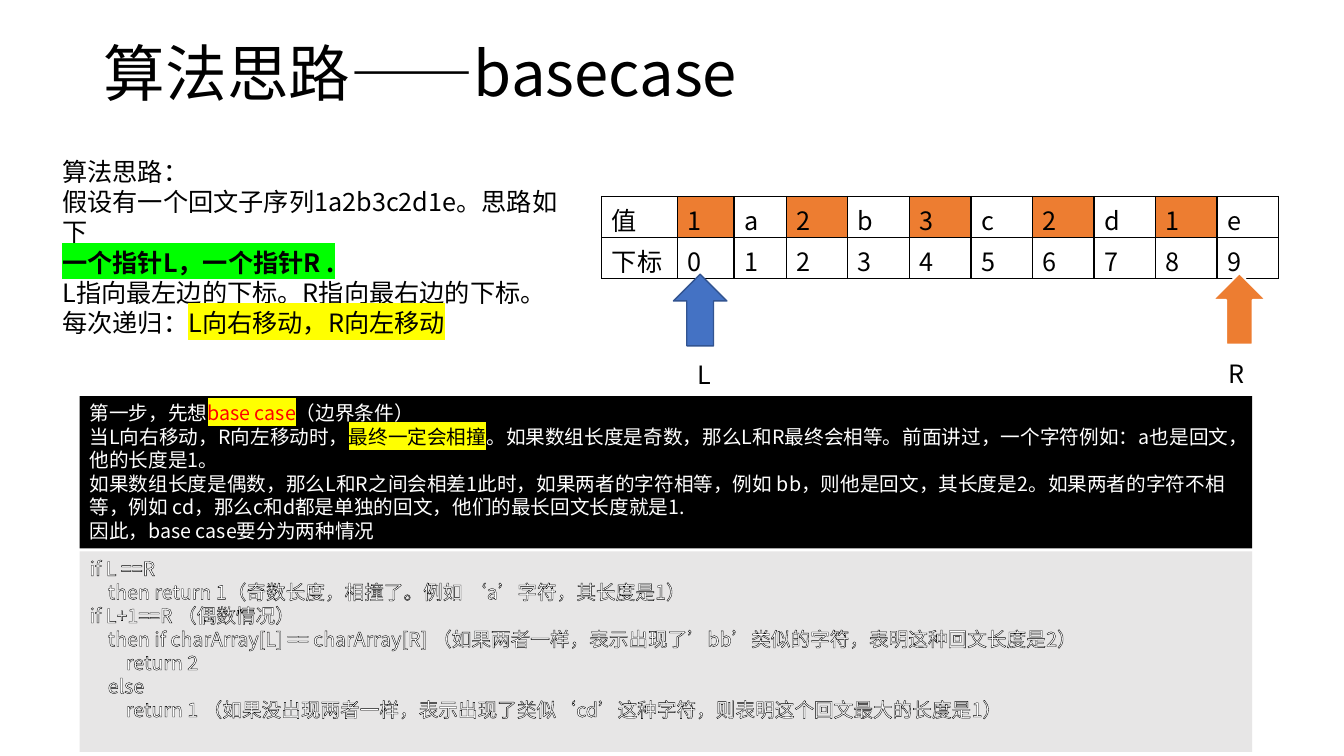
from dataclasses import dataclass
from typing import Optional

from lxml import etree
from pptx import Presentation
from pptx.dml.color import RGBColor
from pptx.enum.shapes import MSO_SHAPE
from pptx.enum.text import MSO_ANCHOR, MSO_AUTO_SIZE, PP_ALIGN
from pptx.oxml.ns import qn
from pptx.util import Inches, Length, Pt

RECTANGLE, RIGHT_ARROW = MSO_SHAPE.RECTANGLE, MSO_SHAPE.RIGHT_ARROW
TOP, MIDDLE, LEFT = MSO_ANCHOR.TOP, MSO_ANCHOR.MIDDLE, PP_ALIGN.LEFT
FIXED, GROW = MSO_AUTO_SIZE.NONE, MSO_AUTO_SIZE.SHAPE_TO_FIT_TEXT

BLACK = RGBColor(0x00, 0x00, 0x00)
WHITE = RGBColor(0xFF, 0xFF, 0xFF)
RED = RGBColor(0xFF, 0x00, 0x00)
GREEN = RGBColor(0x00, 0xFF, 0x00)
YELLOW = RGBColor(0xFF, 0xFF, 0x00)
ORANGE = RGBColor(0xED, 0x7D, 0x31)
BLUE = RGBColor(0x44, 0x72, 0xC4)
DARK_BLUE = RGBColor(0x32, 0x54, 0x91)
LIGHT_GRAY = RGBColor(0xE7, 0xE6, 0xE6)

FONT = "Noto Sans CJK SC"
WIDTH, HEIGHT = Inches(13.33), Inches(7.5)
CODE_INDENT = Inches(0.18)


@dataclass(frozen=True)
class Area:
    """A frame in percent of the slide's width and height."""
    left: float
    top: float
    width: float
    height: float

    def frame(self) -> tuple[int, int, int, int]:
        return (across(self.left), down(self.top),
                across(self.width), down(self.height))


@dataclass(frozen=True)
class Span:
    text: str
    color: Optional[RGBColor] = None
    highlight: Optional[RGBColor] = None
    bold: bool = False


@dataclass(frozen=True)
class Line:
    spans: tuple[Span, ...]
    level: int = 0


@dataclass(frozen=True)
class Style:
    size: int
    color: RGBColor
    outline: Optional[RGBColor] = None


@dataclass(frozen=True)
class Pointer:
    name: str
    arrow: Area
    label: Area
    fill: RGBColor
    border: RGBColor
    border_width: float


BODY = Style(18, BLACK)

INTRO = [
    Line((Span("算法思路："),)),
    Line((Span("假设有一个回文子序列1a2b3c2d1e。思路如下"),)),
    Line((Span("一个指针L，一个指针R .", highlight=GREEN, bold=True),)),
    Line((Span("L指向最左边的下标。R指向最右边的下标。"),)),
    Line((Span("每次递归："), Span("L向右移动，R向左移动", highlight=YELLOW))),
]
EXPLANATION = [
    Line((Span("第一步，先想"), Span("base case", RED, YELLOW), Span("（边界条件）"))),
    Line((Span("当L向右移动，R向左移动时，"), Span("最终一定会相撞", BLACK, YELLOW),
          Span("。如果数组长度是奇数，那么L和R最终会相等。前面讲过，"
               "一个字符例如：a也是回文，他的长度是1。"))),
    Line((Span("如果数组长度是偶数，那么L和R之间会相差1此时，如果两者的字符相等，"
               "例如 bb，则他是回文，其长度是2。如果两者的字符不相等，"
               "例如 cd，那么c和d都是单独的回文，他们的最长回文长度就是1."),)),
    Line((Span("因此，base case要分为两种情况"),)),
]
CODE = [
    Line((Span("if L ==R"),)),
    Line((Span("then return 1（奇数长度，相撞了。例如 ‘a’字符，其长度是1）"),), 1),
    Line((Span("if L+1==R （偶数情况）"),)),
    Line((Span("then if charArray[L] == charArray[R] "
               "（如果两者一样，表示出现了’bb’类似的字符，表明这种回文长度是2）"),), 1),
    Line((Span("return 2"),), 2),
    Line((Span("else"),), 1),
    Line((Span("return 1 （如果没出现两者一样，表示出现了类似‘cd’这种字符，"
               "则表明这个回文最大的长度是1）"),), 2),
]
SEQUENCE = "1a2b3c2d1e"
COLUMN_SHARES = [5.63, 4.2, 3.9] + [4.58] * 8
POINTERS = [
    Pointer("L", Area(49.43, 37.47, 5.33, 7.07), Area(51.15, 46.93, 2.4, 5.33),
            BLUE, DARK_BLUE, 1),
    Pointer("R", Area(89.55, 37.33, 5.33, 7.07), Area(90.68, 46.67, 2.63, 5.33),
            ORANGE, WHITE, 1.5),
]


def across(share: float) -> Length:
    return Length(round(WIDTH * share / 100))


def down(share: float) -> Length:
    return Length(round(HEIGHT * share / 100))


def add_solid_fill(parent, color: RGBColor) -> None:
    fill = etree.SubElement(parent, qn("a:solidFill"))
    etree.SubElement(fill, qn("a:srgbClr"), val=str(color))


def add_run(paragraph, span: Span, style: Style) -> None:
    run = paragraph.add_run()
    run.text = span.text
    run.font.size, run.font.bold = Pt(style.size), span.bold
    run.font.color.rgb = span.color or style.color
    properties = run.font._element
    if style.outline is not None:
        outline = etree.Element(qn("a:ln"), w=str(Pt(0.75)))
        add_solid_fill(outline, style.outline)
        properties.insert(0, outline)
    if span.highlight is not None:
        highlight = etree.SubElement(properties, qn("a:highlight"))
        etree.SubElement(highlight, qn("a:srgbClr"), val=str(span.highlight))
    run.font.name = FONT
    etree.SubElement(properties, qn("a:ea"), typeface=FONT)


def write_lines(frame, lines: list[Line], style: Style) -> None:
    for index, line in enumerate(lines):
        paragraph = frame.add_paragraph() if index else frame.paragraphs[0]
        paragraph.alignment = LEFT
        if line.level:
            properties = paragraph._p.get_or_add_pPr()
            properties.set("marL", str(line.level * CODE_INDENT))
        for span in line.spans:
            add_run(paragraph, span, style)


def add_text(shapes, area: Area, lines: list[Line], wrap: bool = True) -> None:
    frame = shapes.add_textbox(*area.frame()).text_frame
    frame.word_wrap, frame.auto_size = wrap, GROW
    write_lines(frame, lines, BODY)


def add_panel(shapes, area: Area, fill: RGBColor, lines: list[Line], style: Style) -> None:
    panel = shapes.add_shape(RECTANGLE, *area.frame())
    panel.shadow.inherit = False
    panel.fill.solid()
    panel.fill.fore_color.rgb = fill
    panel.line.fill.background()
    frame = panel.text_frame
    frame.word_wrap, frame.vertical_anchor = True, TOP
    write_lines(frame, lines, style)


def add_pointer(shapes, pointer: Pointer) -> None:
    group = shapes.add_group_shape()
    arrow = group.shapes.add_shape(RIGHT_ARROW, *pointer.arrow.frame())
    arrow.rotation = 270
    arrow.shadow.inherit = False
    arrow.fill.solid()
    arrow.fill.fore_color.rgb = pointer.fill
    arrow.line.color.rgb = pointer.border
    arrow.line.width = Pt(pointer.border_width)
    add_text(group.shapes, pointer.label, [Line((Span(pointer.name),))], wrap=False)


def fill_cell(cell, text: str, marked: bool) -> None:
    if marked:
        cell.fill.solid()
        cell.fill.fore_color.rgb = ORANGE
    else:
        cell.fill.background()
    write_lines(cell.text_frame, [Line((Span(text),))], BODY)
    for index, side in enumerate("LRTB"):
        border = etree.Element(qn(f"a:ln{side}"), w=str(Pt(1)))
        add_solid_fill(border, BLACK)
        cell._tc.get_or_add_tcPr().insert(index, border)


def add_sequence_table(shapes, area: Area) -> None:
    rows = [["值", *SEQUENCE], ["下标", *map(str, range(len(SEQUENCE)))]]
    table = shapes.add_table(len(rows), len(rows[0]), *area.frame()).table
    table.first_row = table.horz_banding = False
    for column, share in zip(table.columns, COLUMN_SHARES):
        column.width = across(share)
    for row_index, row in enumerate(rows):
        for column_index, text in enumerate(row):
            marked = row_index == 0 and text.isdigit()
            fill_cell(table.cell(row_index, column_index), text, marked)


def format_title(title) -> None:
    title.left, title.top, title.width, title.height = Area(6.98, 0.27, 86.25, 19.6).frame()
    frame = title.text_frame
    frame.vertical_anchor, frame.auto_size = MIDDLE, FIXED
    write_lines(frame, [Line((Span("算法思路——basecase"),))], Style(44, BLACK))
    frame.paragraphs[0].line_spacing = 0.9


def main() -> None:
    presentation = Presentation()
    presentation.slide_width, presentation.slide_height = WIDTH, HEIGHT
    slide = presentation.slides.add_slide(presentation.slide_layouts[5])
    format_title(slide.shapes.title)
    add_text(slide.shapes, Area(3.9, 20, 39.68, 21.6), INTRO)
    add_sequence_table(slide.shapes, Area(44.78, 26, 50.37, 10.8))
    for pointer in POINTERS:
        add_pointer(slide.shapes, pointer)
    add_panel(slide.shapes, Area(5.93, 52.4, 87.23, 20.13), BLACK, EXPLANATION, Style(14, WHITE))
    add_panel(slide.shapes, Area(5.93, 72.93, 87.23, 26.53), LIGHT_GRAY, CODE,
              Style(14, WHITE, BLACK))
    presentation.save("out.pptx")


if __name__ == "__main__":
    main()
